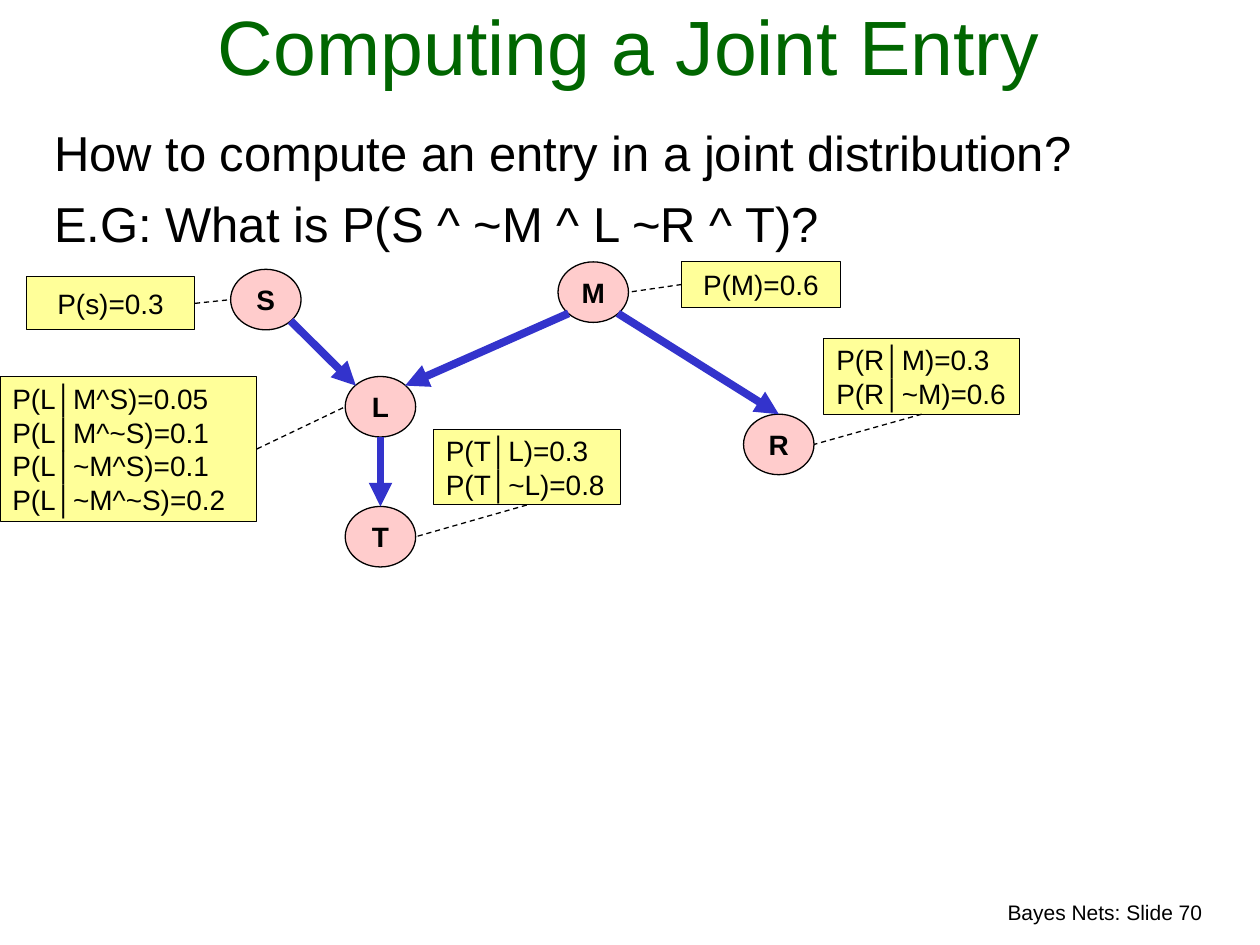
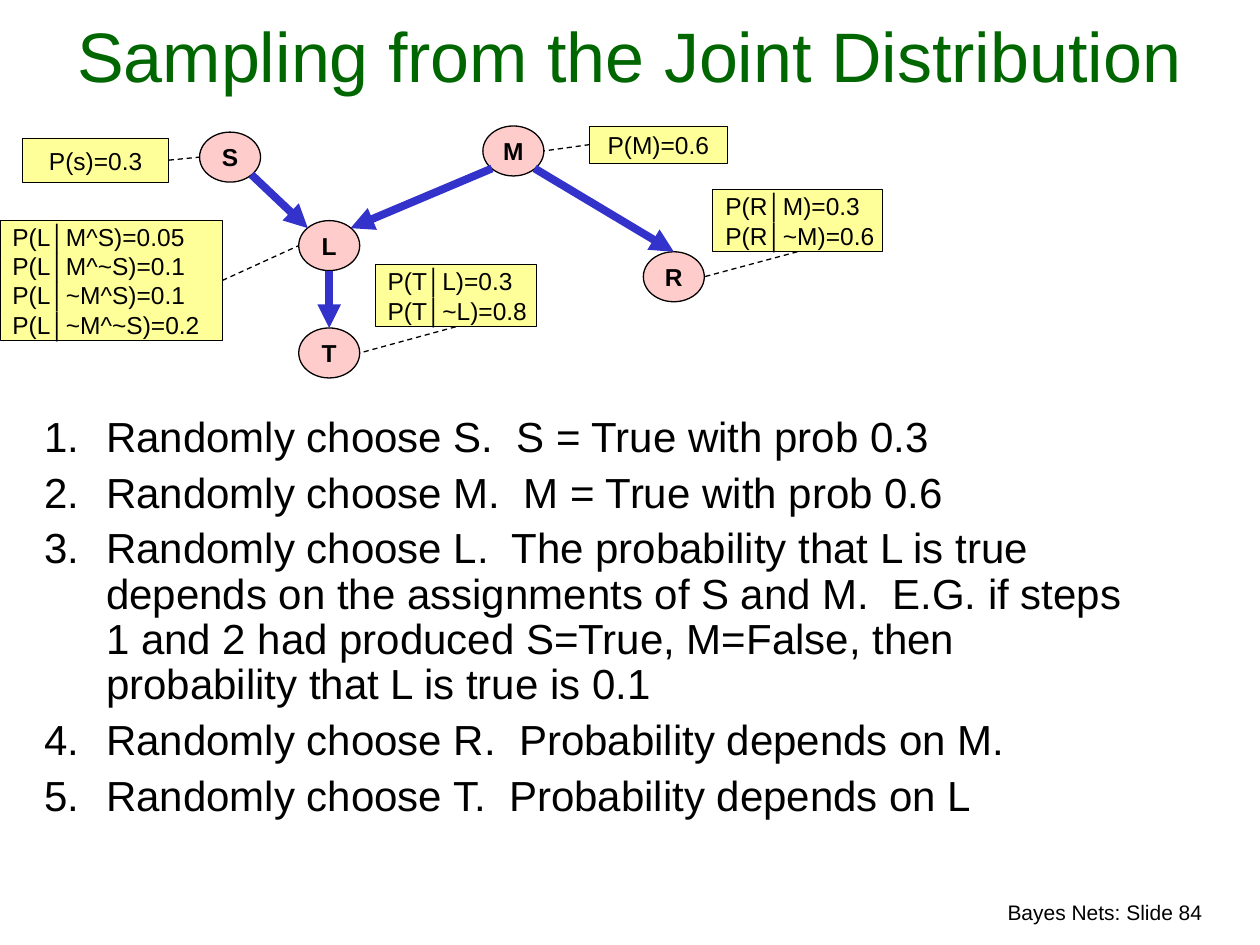
from pptx import Presentation
from pptx.dml.color import RGBColor
from pptx.enum import dml, shapes, text
from pptx.oxml import xmlchemy as xml
from pptx.util import Cm, Pt

GREEN = RGBColor(0x00, 0x66, 0x00)
BLACK = RGBColor(0x00, 0x00, 0x00)
PINK = RGBColor(0xFF, 0xCC, 0xCC)
YELLOW = RGBColor(0xFF, 0xFF, 0x99)
BLUE = RGBColor(0x33, 0x33, 0xCC)
FONT = "Arial"
LEFT, MID, RIGHT = text.PP_ALIGN.LEFT, text.PP_ALIGN.CENTER, text.PP_ALIGN.RIGHT
TOP, CORE, BASE = text.MSO_ANCHOR.TOP, text.MSO_ANCHOR.MIDDLE, text.MSO_ANCHOR.BOTTOM

NET_W, NET_H = 20.55, 6.15
NODE_W, NODE_H = 1.42, 1.22
NODES = {"S": (4.65, 0.15), "M": (11.25, 0), "R": (14.99, 3.07),
         "L": (6.96, 2.31), "T": (6.96, 4.93)}
NOTES = {
    "S": ((0.53, 0.3, 3.4, 1.07), ["P(s)=0.3"]),
    "M": ((13.74, 0, 3.2, 0.91), ["P(M)=0.6"]),
    "R": ((16.61, 1.55, 3.94, 1.52), ["P(R│M)=0.3", "P(R│~M)=0.6"]),
    "T": ((8.74, 3.38, 3.76, 1.52), ["P(T│L)=0.3", "P(T│~L)=0.8"]),
    "L": ((0, 2.31, 5.18, 2.92), ["P(L│M^S)=0.05", "P(L│M^~S)=0.1",
                                  "P(L│~M^S)=0.1", "P(L│~M^~S)=0.2"]),
}
NEAR, FAR = 0.15, 0.85
SITES = {"n": (0.5, 0), "s": (0.5, 1), "w": (0, 0.5), "e": (1, 0.5),
         "nw": (NEAR, NEAR), "ne": (FAR, NEAR), "sw": (NEAR, FAR), "se": (FAR, FAR)}
EDGES = [("S", "se", "L", "nw"), ("M", "sw", "L", "ne"),
         ("M", "se", "R", "n"), ("L", "s", "T", "n")]
LINKS = [("T", "s", "e"), ("R", "s", "e"), ("M", "w", "e"),
         ("S", "e", "w"), ("L", "e", "w")]


def write(shape, lines, size, color=BLACK, bold=False, align=LEFT, anchor=TOP,
          wrap=True, before=0, lead=1.0, hang=0):
    """Fill a shape with formatted paragraphs."""
    frame = shape.text_frame
    frame.word_wrap, frame.vertical_anchor = wrap, anchor
    for i, line in enumerate(lines):
        para = frame.add_paragraph() if i else frame.paragraphs[0]
        para.alignment, para.space_before, para.line_spacing = align, Pt(before), lead
        if hang:
            props = para._p.get_or_add_pPr()
            props.set("marL", str(Cm(hang)))
            props.set("indent", str(-Cm(hang)))
        run = para.add_run()
        run.text = line
        font = run.font
        font.name, font.size, font.bold = FONT, Pt(size), bold
        font.color.rgb = color


def label(slide, box, lines, size, **style):
    """Add a text box."""
    write(slide.shapes.add_textbox(*map(Cm, box)), lines, size, **style)


def block(slide, kind, box, fill, width, lines, size, **style):
    """Add an outlined shape with text."""
    shape = slide.shapes.add_shape(kind, *map(Cm, box))
    shape.shadow.inherit = False
    shape.fill.solid()
    shape.fill.fore_color.rgb = fill
    shape.line.color.rgb = BLACK
    shape.line.width = Pt(width)
    write(shape, lines, size, anchor=CORE, wrap=False, hang=0.97, **style)


def join(slide, start, end, color, width, arrow=False):
    """Draw a solid arrow or a dashed line."""
    line = slide.shapes.add_connector(
        shapes.MSO_CONNECTOR.STRAIGHT, *map(Cm, start + end))
    line.line.color.rgb = color
    line.line.width = Pt(width)
    if arrow:
        tail = xml.OxmlElement("a:tailEnd")
        tail.set("type", "triangle")
        line.line._get_or_add_ln().append(tail)
    else:
        line.line.dash_style = dml.MSO_LINE.DASH
    line._element.spPr.append(xml.OxmlElement("a:effectLst"))


def site(box, side):
    """Return the point on a box at a named side."""
    x, y, w, h = box
    fx, fy = SITES[side]
    return x + w * fx, y + h * fy


def net(slide, box, size):
    """Draw the Bayes net scaled into a box."""
    left, top, wide, high = box
    sx, sy = wide / NET_W, high / NET_H

    def fit(x, y, w, h):
        """Scale a box of the net to the slide."""
        return left + x * sx, top + y * sy, w * sx, h * sy

    nodes = {name: fit(*spot, NODE_W, NODE_H) for name, spot in NODES.items()}
    notes = {name: fit(*spot) for name, (spot, _) in NOTES.items()}
    for name, spot in nodes.items():
        block(slide, shapes.MSO_SHAPE.OVAL, spot, PINK, 0.75, [name], size,
              bold=True, align=MID, before=size / 4)
    for name, spot in notes.items():
        lines = NOTES[name][1]
        single = len(lines) == 1
        block(slide, shapes.MSO_SHAPE.RECTANGLE, spot, YELLOW, 0.5, lines, size,
              align=MID if single else LEFT, before=size / 4 if single else 0)
    for tail, out, head, into in EDGES:
        join(slide, site(nodes[tail], out), site(nodes[head], into), BLUE, 4.5, True)
    for name, out, into in LINKS:
        join(slide, site(notes[name], out), site(nodes[name], into), BLACK, 0.75)


def base(deck, title, size, high, number):
    """Add a slide with its title and footer."""
    slide = deck.slides.add_slide(deck.slide_layouts[6])
    label(slide, (14.53, 18.01, 9.96, 0.76), [f"Bayes Nets: Slide {number}"], 12,
          align=RIGHT, before=7.5)
    label(slide, (0.2, 0.43, 24.97, high), [title], size,
          color=GREEN, align=MID, anchor=BASE)
    return slide


def entry(deck):
    """Build the slide on computing a joint entry."""
    slide = base(deck, "Computing a Joint Entry", 44, 1.52, 70)
    label(slide, (0.84, 2.34, 23.83, 2.97),
          ["How to compute an entry in a joint distribution?",
           "E.G: What is P(S ^ ~M ^ L ~R ^ T)?"], 28, before=7, hang=0.97)
    net(slide, (0, 5.28, 20.55, 6.15), 16)


def sample(deck):
    """Build the slide on sampling from the joint distribution."""
    slide = base(deck, "Sampling from the Joint Distribution", 40, 1.65, 84)
    steps = ["Randomly choose S.  S = True with prob 0.3",
             "Randomly choose M.  M = True with prob 0.6",
             "Randomly choose L.  The probability that L is true depends on the "
             "assignments of S and M.  E.G. if steps 1 and 2 had produced S=True, "
             "M=False, then probability that L is true is 0.1",
             "Randomly choose R.  Probability depends on M.",
             "Randomly choose T.  Probability depends on L"]
    label(slide, (0.64, 8.26, 22.43, 8.89),
          [f"{i}.\t{step}" for i, step in enumerate(steps, 1)], 24,
          before=6, lead=0.9, hang=1.25)
    net(slide, (0, 2.54, 17.78, 5.08), 14)


def main():
    """Build and save the deck."""
    deck = Presentation()
    deck.slide_width, deck.slide_height = Cm(25.4), Cm(19.05)
    entry(deck)
    sample(deck)
    deck.save("out.pptx")


if __name__ == "__main__":
    main()
